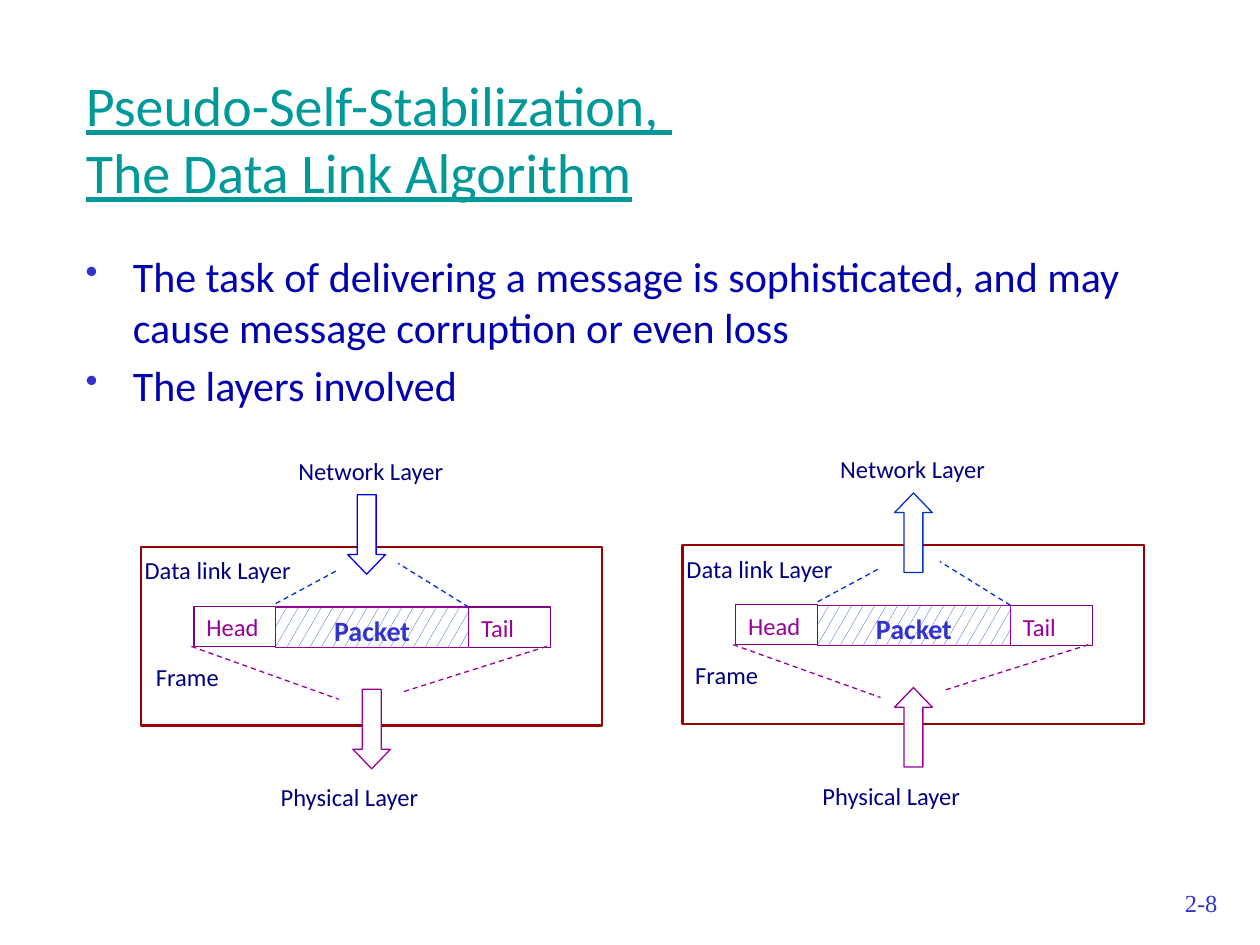
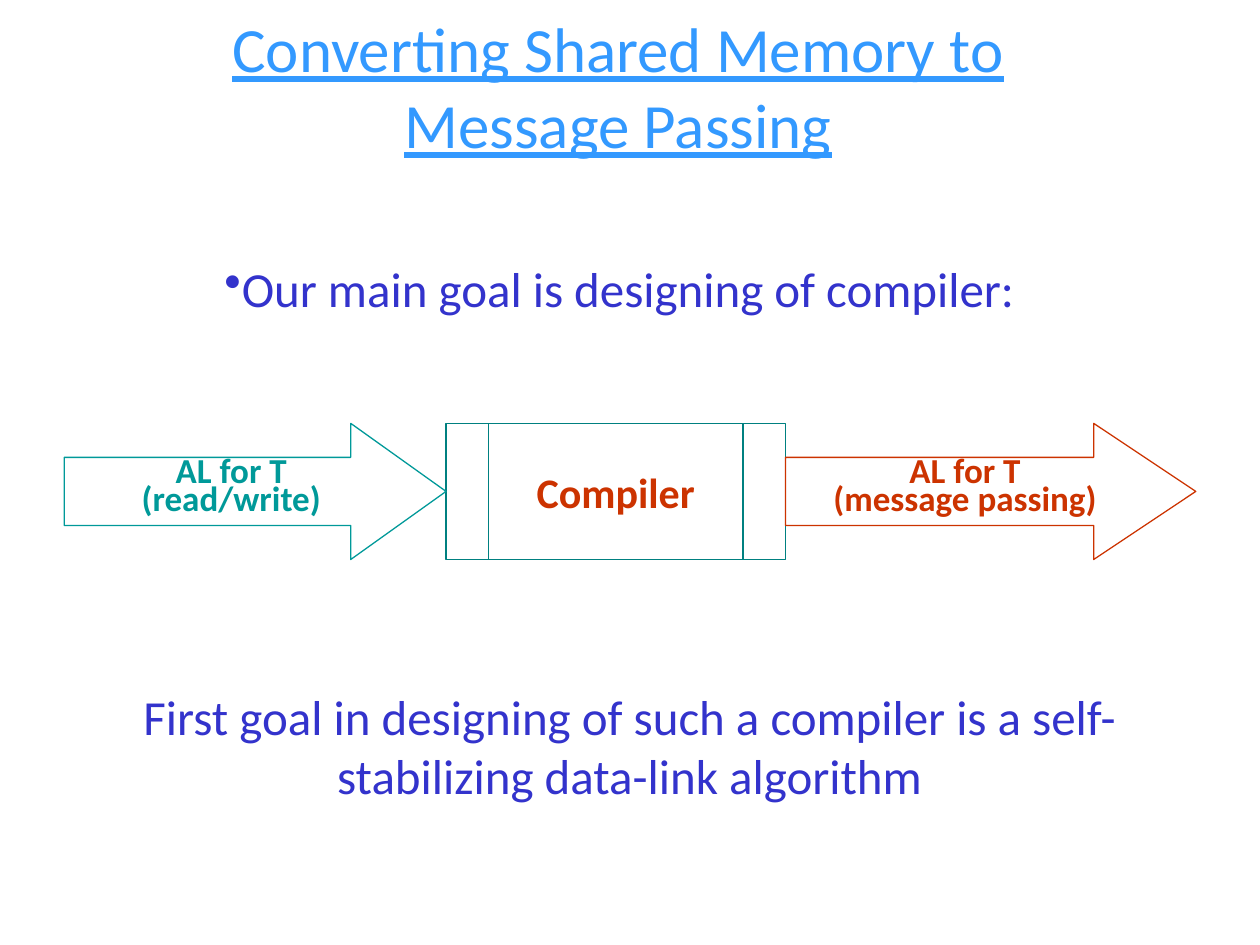
from dataclasses import dataclass
from typing import Optional

from lxml import etree
from pptx import Presentation
from pptx import util as u
from pptx.dml.color import RGBColor
from pptx.enum import dml, shapes, text
from pptx.oxml import ns

# Shared colours and fonts
WHITE = RGBColor(0xFF, 0xFF, 0xFF)
BLUE = RGBColor(0x33, 0x33, 0xCC)
DEEP_BLUE = RGBColor(0x00, 0x00, 0xB0)
ARROW_BLUE = RGBColor(0x00, 0x00, 0xFF)
DASH_BLUE = RGBColor(0x00, 0x33, 0xCC)
SKY = RGBColor(0x33, 0x99, 0xFF)
NAVY = RGBColor(0x00, 0x00, 0x80)
TEAL = RGBColor(0x00, 0x99, 0x99)
DARK_TEAL = RGBColor(0x00, 0x80, 0x80)
MAROON = RGBColor(0x99, 0x00, 0x00)
PURPLE = RGBColor(0x80, 0x00, 0x80)
MAGENTA = RGBColor(0x99, 0x00, 0x99)
RUST = RGBColor(0xCC, 0x33, 0x00)
BODY_FONT = "Calibri"
NUMBER_FONT = "Times New Roman"

LEFT, CENTER, RIGHT = (text.PP_ALIGN.LEFT, text.PP_ALIGN.CENTER,
                       text.PP_ALIGN.RIGHT)
TOP, MIDDLE = text.MSO_ANCHOR.TOP, text.MSO_ANCHOR.MIDDLE
RECTANGLE = shapes.MSO_SHAPE.RECTANGLE
UP_ARROW = shapes.MSO_SHAPE.UP_ARROW
RIGHT_ARROW = shapes.MSO_SHAPE.RIGHT_ARROW
PROCESS = shapes.MSO_SHAPE.FLOWCHART_PREDEFINED_PROCESS


@dataclass(frozen=True)
class Box:
    """Position and size in points."""
    left: float
    top: float
    width: float
    height: float

    def moved(self, x: float, y: float) -> "Box":
        return Box(self.left + x, self.top + y, self.width, self.height)

    def lengths(self) -> tuple:
        return tuple(u.Pt(value) for value in
                     (self.left, self.top, self.width, self.height))


@dataclass(frozen=True)
class TextStyle:
    size: float
    color: RGBColor
    align: text.PP_ALIGN = LEFT
    anchor: text.MSO_ANCHOR = TOP
    bold: bool = False
    underline: bool = False
    font: str = BODY_FONT
    gap: float = 0
    line_spacing: Optional[float] = None
    wrap: bool = True


@dataclass(frozen=True)
class Bullet:
    color: RGBColor
    size_percent: int = 100
    indent: float = 0


@dataclass(frozen=True)
class Panel:
    """One side of the data link, placed by its maroon box."""
    left: float
    top: float
    rotation: int
    upper_arrow_left: float
    upper_arrow_color: RGBColor
    frame_label_left: float


@dataclass(frozen=True)
class Cell:
    label: str
    box: Box
    line: RGBColor
    style: TextStyle
    hatched: bool = False


@dataclass(frozen=True)
class Step:
    kind: shapes.MSO_SHAPE
    left: float
    width: float
    color: RGBColor
    lines: tuple
    style: TextStyle
    head_ratio: Optional[float] = None


# Data link diagram, measured from the corner of its box
PANELS = (Panel(80.6, 312.5, 180, 118.1, ARROW_BLUE, 1.4),
          Panel(390.2, 311.5, 0, 121, DASH_BLUE, 0))
PANEL_WIDTH, PANEL_HEIGHT = 263.5, 102.2
LABEL = TextStyle(14, NAVY)
END_CELL = TextStyle(14, MAGENTA)
CELLS = (
    Cell("Tail", Box(187.2, 34.4, 46.8, 23), PURPLE, END_CELL),
    Cell("Packet", Box(77, 34.4, 110.2, 23), MAGENTA,
         TextStyle(16, BLUE, CENTER, bold=True), hatched=True),
    Cell("Head", Box(30.2, 33.9, 46.8, 23), PURPLE, END_CELL),
)
LAYER_LABELS = (
    ("Physical Layer", Box(72.7, 131, 119.5, 23)),
    ("Data link Layer", Box(-5, 1.4, 127.4, 19.4)),
    ("Network Layer", Box(82.8, -55.4, 118.8, 26)),
)
GUIDES = (
    ((28.8, 56.9), (113, 87.1), MAGENTA),
    ((231.8, 56.9), (149.8, 82.8), MAGENTA),
    ((77, 32.4), (113, 13), DASH_BLUE),
    ((187.2, 34.4), (146.9, 9.4), DASH_BLUE),
)

# Compiler pipeline
STEP_TOP, STEP_HEIGHT = 241.9, 77.8
STEPS = (
    Step(PROCESS, 254.9, 193.9, DARK_TEAL, ("Compiler",),
         TextStyle(24, RUST, CENTER, MIDDLE, bold=True, wrap=False)),
    Step(RIGHT_ARROW, 36.7, 218.2, TEAL, ("AL for T", "(read/write)"),
         TextStyle(20, TEAL, CENTER, MIDDLE, bold=True, gap=4,
                   line_spacing=0.5, wrap=False), 0.7),
    Step(RIGHT_ARROW, 448.8, 234.5, RUST, ("AL for T", "(message passing)"),
         TextStyle(20, RUST, CENTER, MIDDLE, bold=True, gap=4,
                   line_spacing=0.5, wrap=False), 0.75),
)


def add_bullet(paragraph, bullet: Bullet) -> None:
    properties = paragraph._p.get_or_add_pPr()
    properties.set("marL", str(u.Pt(bullet.indent)))
    properties.set("indent", str(-u.Pt(bullet.indent)))
    color = etree.SubElement(properties, ns.qn("a:buClr"))
    etree.SubElement(color, ns.qn("a:srgbClr"), val=str(bullet.color))
    etree.SubElement(properties, ns.qn("a:buSzPct"),
                     val=str(bullet.size_percent * 1000))
    etree.SubElement(properties, ns.qn("a:buChar"), char="•")


def write(shape, lines: tuple, style: TextStyle,
          bullet: Optional[Bullet] = None) -> None:
    frame = shape.text_frame
    frame.auto_size = text.MSO_AUTO_SIZE.NONE
    frame.word_wrap = style.wrap
    frame.vertical_anchor = style.anchor
    font_values = {"size": u.Pt(style.size), "name": style.font,
                   "bold": style.bold, "underline": style.underline}
    for index, line in enumerate(lines):
        paragraph = frame.add_paragraph() if index else frame.paragraphs[0]
        paragraph.text = line
        paragraph.alignment = style.align
        if bullet:
            add_bullet(paragraph, bullet)
        if index and style.gap:
            paragraph.space_before = u.Pt(style.gap)
        if style.line_spacing:
            paragraph.line_spacing = style.line_spacing
        for run in paragraph.runs:
            for name, value in font_values.items():
                setattr(run.font, name, value)
            run.font.color.rgb = style.color


def add_text(slide, box: Box, lines: tuple, style: TextStyle,
             bullet: Optional[Bullet] = None) -> None:
    write(slide.shapes.add_textbox(*box.lengths()), lines, style, bullet)


def add_outline(slide, kind: shapes.MSO_SHAPE, box: Box, line: RGBColor,
                width: float = 0.75, filled: bool = True):
    shape = slide.shapes.add_shape(kind, *box.lengths())
    shape.shadow.inherit = False
    if filled:
        shape.fill.solid()
        shape.fill.fore_color.rgb = WHITE
    else:
        shape.fill.background()
    shape.line.color.rgb = line
    shape.line.width = u.Pt(width)
    return shape


def add_dashed_line(slide, start: tuple, end: tuple, color: RGBColor) -> None:
    connector = slide.shapes.add_connector(
        shapes.MSO_CONNECTOR.STRAIGHT, *(u.Pt(value) for value in start + end))
    connector.line.color.rgb = color
    connector.line.width = u.Pt(0.75)
    connector.line.dash_style = dml.MSO_LINE.DASH
    etree.SubElement(connector._element.spPr, ns.qn("a:effectLst"))


def add_titled_slide(presentation, title: str, box: Box, style: TextStyle):
    slide = presentation.slides.add_slide(presentation.slide_layouts[5])
    placeholder = slide.shapes.title
    (placeholder.left, placeholder.top,
     placeholder.width, placeholder.height) = box.lengths()
    write(placeholder, (title,), style)
    return slide


def add_panel(slide, panel: Panel) -> None:
    def place(box: Box) -> Box:
        return box.moved(panel.left, panel.top)

    add_outline(slide, RECTANGLE, place(Box(0, 0, PANEL_WIDTH, PANEL_HEIGHT)),
                MAROON, 1.5)

    # Layer names
    for label, box in LAYER_LABELS:
        add_text(slide, place(box), (label,), LABEL)
    add_text(slide, place(Box(panel.frame_label_left, 62, 65, 26.6)),
             ("Frame",), LABEL)

    # Flow arrows
    for left, top, color in (
            (121, 81.4, MAGENTA),
            (panel.upper_arrow_left, -29.8, panel.upper_arrow_color)):
        arrow = add_outline(slide, UP_ARROW, place(Box(left, top, 21.6, 45.4)),
                            color)
        arrow.adjustments[0], arrow.adjustments[1] = 0.5, 0.52
        arrow.rotation = panel.rotation

    # Frame cells
    for cell in CELLS:
        shape = add_outline(slide, RECTANGLE, place(cell.box), cell.line)
        if cell.hatched:
            shape.fill.patterned()
            shape.fill.pattern = dml.MSO_PATTERN.SMALL_CONFETTI
            shape.fill.fore_color.rgb = DASH_BLUE
            shape.fill.back_color.rgb = WHITE
        write(shape, (cell.label,), cell.style)

    # Dashed guides
    for start, end, color in GUIDES:
        points = [(x + panel.left, y + panel.top) for x, y in (start, end)]
        add_dashed_line(slide, *points, color)


def build_data_link(presentation) -> None:
    slide = add_titled_slide(
        presentation, "Pseudo-Self-Stabilization, \vThe Data Link Algorithm",
        Box(41.8, 33.8, 612, 90),
        TextStyle(32, TEAL, anchor=MIDDLE, underline=True))
    add_text(slide, Box(653.8, 504, 49, 36), ("2-8",),
             TextStyle(14, BLUE, RIGHT, font=NUMBER_FONT))
    add_text(slide, Box(41.8, 139.7, 612, 100),
             ("The task of delivering a message is sophisticated, and may "
              "cause message corruption or even loss",
              "The layers involved"),
             TextStyle(24, DEEP_BLUE, gap=4.8), Bullet(BLUE, 85, 27))
    for panel in PANELS:
        add_panel(slide, panel)


def build_compiler(presentation) -> None:
    slide = add_titled_slide(
        presentation, "Converting Shared Memory to\vMessage Passing",
        Box(5.8, -2.2, 694.8, 102.2),
        TextStyle(36, SKY, CENTER, MIDDLE, underline=True))
    statement = TextStyle(28, BLUE, CENTER)
    add_text(slide, Box(19.4, 144, 668.9, 41),
             ("Our main goal is designing of compiler:",), statement,
             Bullet(BLUE))
    for step in STEPS:
        shape = add_outline(slide, step.kind,
                            Box(step.left, STEP_TOP, step.width, STEP_HEIGHT),
                            step.color, filled=False)
        if step.head_ratio:
            shape.adjustments[0], shape.adjustments[1] = 0.5, step.head_ratio
        write(shape, step.lines, step.style)
    add_text(slide, Box(25.2, 388.8, 668.9, 74.2),
             ("First goal in designing of such a compiler is a "
              "self-stabilizing data-link algorithm",), statement)


def main() -> None:
    presentation = Presentation()
    presentation.slide_width, presentation.slide_height = u.Pt(720), u.Pt(540)
    build_data_link(presentation)
    build_compiler(presentation)
    presentation.save("out.pptx")


if __name__ == "__main__":
    main()
